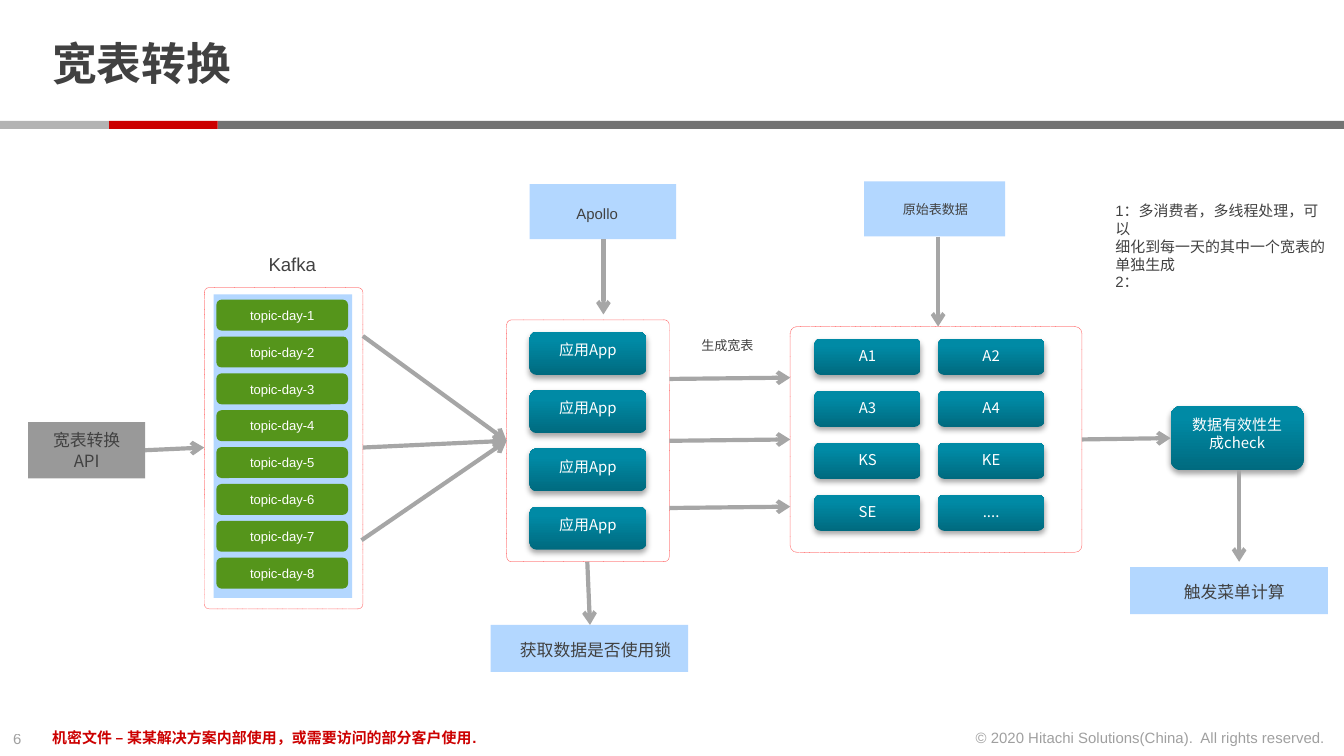
"""Build the wide-table conversion flow slide."""
import typing
from dataclasses import dataclass

import lxml.etree
import pptx
import pptx.dml.color
import pptx.enum.dml
import pptx.enum.shapes
import pptx.enum.text
import pptx.oxml.ns
import pptx.util

Inches = pptx.util.Inches
Pt = pptx.util.Pt
RGB = pptx.dml.color.RGBColor.from_string
Kind = pptx.enum.shapes.MSO_SHAPE
Align = pptx.enum.text.PP_ALIGN
Anchor = pptx.enum.text.MSO_ANCHOR
Size = pptx.enum.text.MSO_AUTO_SIZE


@dataclass(frozen=True)
class Theme:
    sans: str = "Arial"
    cjk: str = "Noto Sans CJK SC"
    ink: str = "414141"
    white: str = "FFFFFF"
    red: str = "CC0000"
    dark: str = "737373"
    pale: str = "B3B3B3"
    sky: str = "B3D7FF"
    green: str = "55951B"
    gray: str = "999999"
    arrow: str = "A6A6A6"
    frame: str = "FF4747"
    deep: str = "006A7F"
    teal: str = "008AA5"
    title: float = 24
    head: float = 10
    mid: float = 9
    body: float = 8
    small: float = 7


class Box(typing.NamedTuple):
    x: float
    y: float
    w: float
    h: float


class Label(typing.NamedTuple):
    box: Box
    text: str
    form: dict


class Route(typing.NamedTuple):
    x1: float
    y1: float
    x2: float
    y2: float


T = Theme()
deck = pptx.Presentation()
deck.slide_width = Inches(10)
deck.slide_height = Inches(10 * 9 / 16)
slide = deck.slides.add_slide(deck.slide_layouts[6])


def child(node: typing.Any, tag: str, **attrs: typing.Any) -> typing.Any:
    return lxml.etree.SubElement(node, pptx.oxml.ns.qn(tag),
                                 {k: str(v) for k, v in attrs.items()})


def write(shape: typing.Any, text: str, *, size: float = T.body, font: str = T.sans,
          color: str = T.ink, bold: bool = False, align: typing.Any = Align.LEFT,
          anchor: typing.Any = Anchor.TOP, wrap: bool = True,
          alpha: int = 100, space: typing.Optional[float] = None) -> None:
    frame = shape.text_frame
    frame.word_wrap = wrap
    frame.vertical_anchor = anchor
    for i, line in enumerate(text.split("\n")):
        para = frame.paragraphs[0] if i == 0 else frame.add_paragraph()
        para.alignment = align
        if space:
            para.line_spacing = space
        run = para.add_run()
        run.text = line
        run.font.name, run.font.size, run.font.bold = font, Pt(size), bold
        run.font.color.rgb = RGB(color)
        props = run.font._element
        child(props, "a:ea", typeface=T.cjk)
        if alpha < 100:
            child(props.find(".//" + pptx.oxml.ns.qn("a:srgbClr")), "a:alpha", val=alpha * 1000)


def block(box: Box, fill: str = "", kind: typing.Any = Kind.RECTANGLE) -> typing.Any:
    shape = slide.shapes.add_shape(kind, *map(Inches, box))
    shape.shadow.inherit = False
    shape.line.fill.background()
    if fill:
        shape.fill.solid()
        shape.fill.fore_color.rgb = RGB(fill)
    else:
        shape.fill.background()
    return shape


def label(box: Box, text: str, **form: typing.Any) -> typing.Any:
    shape = slide.shapes.add_textbox(*map(Inches, box))
    write(shape, text, **form)
    shape.text_frame.auto_size = Size.SHAPE_TO_FIT_TEXT
    return shape


def button(box: Box, text: str) -> None:
    shape = block(box, kind=Kind.ROUNDED_RECTANGLE)
    shape.fill.gradient()
    shape.fill.gradient_angle = 90
    for stop, color, place in zip(shape.fill.gradient_stops, (T.deep, T.teal), (0, 0.8)):
        stop.color.rgb = RGB(color)
        stop.position = place
    glow = child(shape._element.spPr.find(pptx.oxml.ns.qn("a:effectLst")), "a:outerShdw",
                 blurRad=int(Pt(3.1)), dist=int(Pt(1.8)), dir=5400000, rotWithShape=0)
    child(child(glow, "a:srgbClr", val="000000"), "a:alpha", val=35000)
    write(shape, text, font=T.cjk, color=T.white, align=Align.CENTER)


def border(box: Box) -> None:
    shape = block(box, kind=Kind.ROUNDED_RECTANGLE)
    shape.adjustments[0] = 0.03
    shape.line.color.rgb = RGB(T.frame)
    shape.line.width = Pt(0.25)
    shape.line.dash_style = pptx.enum.dml.MSO_LINE.ROUND_DOT


def arrow(route: Route) -> None:
    line = slide.shapes.add_connector(pptx.enum.shapes.MSO_CONNECTOR.STRAIGHT,
                                      *map(Inches, route))
    line.line.color.rgb = RGB(T.arrow)
    line.line.width = Pt(2.25)
    child(line.line._get_or_add_ln(), "a:tailEnd", type="arrow")
    child(line._element.spPr, "a:effectLst")


def main() -> None:
    for x, w, fill in ((1.62, 8.38, T.dark), (0.81, 0.81, T.red), (0, 0.81, T.pale)):
        block(Box(x, 0.9, w, 0.06), fill)

    title = label(Box(0.29, 0.13, 7.71, 0.73), "宽表转换", size=T.title, bold=True,
                  anchor=Anchor.MIDDLE, space=0.85)
    title.text_frame.auto_size = Size.NONE
    title.text_frame.margin_top = title.text_frame.margin_bottom = 0

    for box in (Box(1.59, 2.19, 1.03, 2.26), Box(6.43, 1.35, 1.05, 0.41),
                Box(3.94, 1.37, 1.09, 0.41), Box(3.65, 4.65, 1.47, 0.35),
                Box(8.41, 4.22, 1.47, 0.35)):
        block(box, T.sky)
    for box in (Box(1.52, 2.14, 1.18, 2.39), Box(3.77, 2.38, 1.21, 1.8),
                Box(5.88, 2.43, 2.17, 1.68)):
        border(box)

    write(block(Box(0.21, 3.14, 0.87, 0.42), T.gray), "宽表转换\nAPI", size=T.mid,
          font=T.cjk, align=Align.CENTER, anchor=Anchor.MIDDLE)
    for i in range(8):
        topic = block(Box(1.61, 2.23 + i * 1.92 / 7, 0.98, 0.23), T.green,
                      Kind.ROUNDED_RECTANGLE)
        write(topic, f"topic-day-{i + 1}", size=T.small, color=T.white,
              align=Align.CENTER, anchor=Anchor.MIDDLE)
    for i in range(4):
        button(Box(3.94, 2.47 + i * 1.3 / 3, 0.87, 0.32), "应用App")
    for i, name in enumerate(("A1", "A2", "A3", "A4", "KS", "KE", "SE", "....")):
        row, col = divmod(i, 2)
        button(Box(6.06 + col * 0.92, 2.52 + row * 1.16 / 3, 0.79, 0.27), name)
    button(Box(8.71, 3.02, 0.99, 0.48), "数据有效性生成check")

    faint = dict(alpha=50, wrap=False)
    for item in (
        Label(Box(0, 5.38, 0.34, 0.24), "6", faint),
        Label(Box(7.12, 5.37, 2.84, 0.24),
              "© 2020 Hitachi Solutions(China).\u00a0 All rights reserved.",
              dict(faint, align=Align.RIGHT)),
        Label(Box(0.29, 5.37, 6.74, 0.24),
              "机密文件 – 某某解决方案内部使用，或需要访问的部分客户使用.",
              dict(color=T.red, bold=True)),
        Label(Box(8.2, 1.45, 1.82, 0.64),
              "1：多消费者，多线程处理，可以\n细化到每一天的其中一个宽表的\n单独生成\n2：", {}),
        Label(Box(6.62, 1.45, 0.69, 0.22), "原始表数据",
              dict(size=T.small, font=T.cjk, wrap=False)),
        Label(Box(5.12, 2.46, 0.59, 0.22), "生成宽表", dict(size=T.small, wrap=False)),
        Label(Box(4.19, 1.47, 0.54, 0.23), "Apollo", {}),
        Label(Box(1.9, 1.83, 0.57, 0.27), "Kafka", dict(size=T.head, wrap=False)),
        Label(Box(3.77, 4.71, 1.35, 0.25), "获取数据是否使用锁", dict(size=T.mid)),
        Label(Box(8.71, 4.28, 0.96, 0.25), "触发菜单计算", dict(size=T.mid)),
    ):
        label(item.box, item.text, **item.form)

    for x, y in ((2.7, 2.5), (2.7, 3.33), (2.69, 4.02)):
        arrow(Route(x, y, 3.77, 3.28))
    for y in (2.82, 3.28, 3.78):
        arrow(Route(4.98, y, 5.88, y - 0.01))
    for route in (Route(1.08, 3.35, 1.52, 3.33), Route(6.98, 1.76, 6.98, 2.43),
                  Route(4.49, 1.78, 4.49, 2.34), Route(8.05, 3.27, 8.71, 3.26),
                  Route(4.37, 4.18, 4.39, 4.65), Route(9.22, 3.5, 9.22, 4.18)):
        arrow(route)

    deck.save("out.pptx")


if __name__ == "__main__":
    main()
